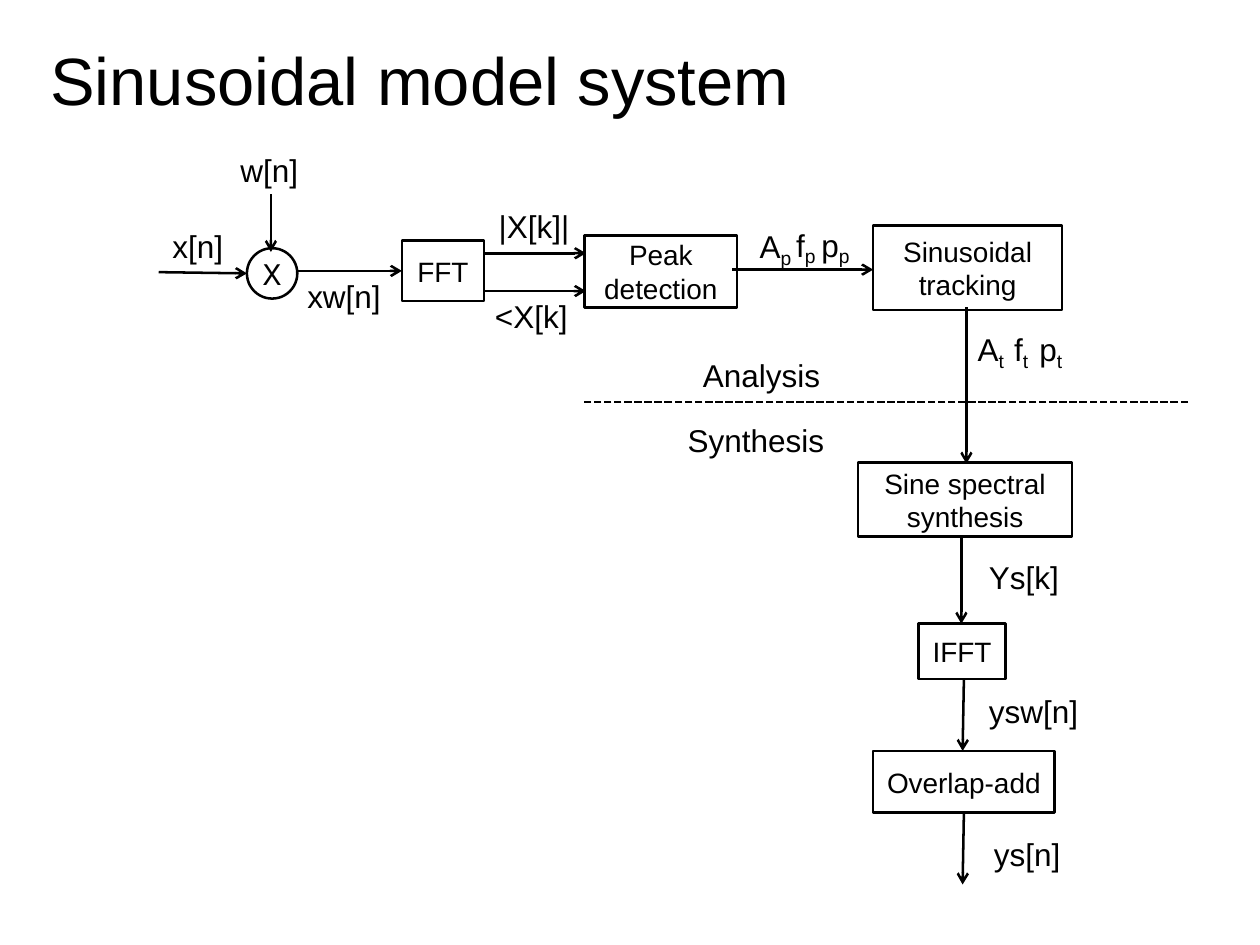
from lxml import etree
from pptx import Presentation
from pptx.dml.color import RGBColor
from pptx.enum.dml import MSO_LINE
from pptx.enum.shapes import MSO_CONNECTOR, MSO_SHAPE
from pptx.enum.text import MSO_ANCHOR, MSO_AUTO_SIZE, PP_ALIGN
from pptx.oxml.ns import qn
from pptx.util import Inches, Pt

RECT, OVAL = MSO_SHAPE.RECTANGLE, MSO_SHAPE.OVAL
STRAIGHT = MSO_CONNECTOR.STRAIGHT
DASH = MSO_LINE.SQUARE_DOT
MIDDLE, TOP = MSO_ANCHOR.MIDDLE, MSO_ANCHOR.TOP
CENTER, LEFT = PP_ALIGN.CENTER, PP_ALIGN.LEFT
NO_FIT = MSO_AUTO_SIZE.NONE
COLORS = {"ink": "000000", "paper": "FFFFFF"}


class Diagram:
    """Draws signal-flow elements on one slide in a shared style."""

    font = "Arial"
    line_width = 1.45

    def __init__(self, slide):
        self.slide = slide
        self.ink = RGBColor.from_string(COLORS["ink"])
        slide.background.fill.solid()
        slide.background.fill.fore_color.rgb = RGBColor.from_string(COLORS["paper"])

    def add_run(self, paragraph, text, size, font=None):
        run = paragraph.add_run()
        run.text = text
        run.font.size = Pt(size)
        run.font.name = font or self.font
        run.font.color.rgb = self.ink
        return run

    def set_frame(self, frame, anchor, wrap, inset_x=0.1, inset_y=0.05):
        frame.word_wrap = wrap
        frame.auto_size = NO_FIT
        frame.vertical_anchor = anchor
        frame.margin_left = frame.margin_right = Inches(inset_x)
        frame.margin_top = frame.margin_bottom = Inches(inset_y)

    def style_line(self, line):
        line.color.rgb = self.ink
        line.width = Pt(self.line_width)

    def title(self, text, left, top, width, height):
        heading = self.slide.shapes.title
        heading.left, heading.top = Inches(left), Inches(top)
        heading.width, heading.height = Inches(width), Inches(height)
        self.set_frame(heading.text_frame, MIDDLE, True, 0, 0)
        paragraph = heading.text_frame.paragraphs[0]
        paragraph.alignment = LEFT
        self.add_run(paragraph, text, 38.2)

    def block(self, lines, left, top, width, height):
        stage = self.node(RECT, left, top, width, height)
        self.set_frame(stage.text_frame, MIDDLE, True)
        self.fill_lines(stage.text_frame, lines, 16)

    def multiplier(self, sign, left, top, diameter):
        circle = self.node(OVAL, left, top, diameter, diameter)
        self.set_frame(circle.text_frame, MIDDLE, False, 0, 0)
        self.fill_lines(circle.text_frame, [sign], 18, "Courier New")

    def node(self, preset, left, top, width, height):
        outline = self.slide.shapes.add_shape(
            preset, Inches(left), Inches(top), Inches(width), Inches(height))
        outline.shadow.inherit = False
        outline.fill.background()
        self.style_line(outline.line)
        return outline

    def fill_lines(self, frame, lines, size, font=None):
        for index, text in enumerate(lines):
            paragraph = frame.add_paragraph() if index else frame.paragraphs[0]
            paragraph.alignment = CENTER
            self.add_run(paragraph, text, size, font)

    def signal(self, name, left, top, width, subscript=None):
        height = 0.41 if subscript else 0.38
        label = self.slide.shapes.add_textbox(
            Inches(left), Inches(top), Inches(width), Inches(height))
        self.set_frame(label.text_frame, TOP, True)
        label.text_frame.margin_right = 0
        paragraph = label.text_frame.paragraphs[0]
        paragraph.alignment = LEFT
        self.add_run(paragraph, name, 18)
        if subscript:
            index = self.add_run(paragraph, subscript, 18.9)
            index.font._element.set("baseline", "-20000")

    def link(self, x1, y1, x2, y2, arrow=True):
        wire = self.slide.shapes.add_connector(
            STRAIGHT, Inches(x1), Inches(y1), Inches(x2), Inches(y2))
        self.style_line(wire.line)
        if arrow:
            etree.SubElement(wire.line._get_or_add_ln(), qn("a:tailEnd"), type="arrow")
        else:
            wire.line.dash_style = DASH
        etree.SubElement(wire._element.spPr, qn("a:effectLst"))


prs = Presentation()
prs.slide_width, prs.slide_height = Inches(10), Inches(7.5)
diagram = Diagram(prs.slides.add_slide(prs.slide_layouts[5]))
diagram.title("Sinusoidal model system", 0.4, 0, 9, 1.25)

for stage in [
    (["FFT"], 3.19, 1.91, 0.65, 0.48),
    (["Peak detection"], 4.64, 1.87, 1.21, 0.57),
    (["Sinusoidal", "tracking"], 6.93, 1.79, 1.5, 0.67),
    (["Sine spectral", "synthesis"], 6.81, 3.67, 1.7, 0.59),
    (["IFFT"], 7.29, 4.95, 0.69, 0.44),
    (["Overlap-add"], 6.93, 5.96, 1.44, 0.49),
]:
    diagram.block(*stage)
diagram.multiplier("X", 1.96, 1.97, 0.4)

for ends in [
    (1.26, 2.16, 1.96, 2.17),
    (2.15, 1.54, 2.15, 2),
    (2.36, 2.15, 3.19, 2.15),
    (3.85, 2.01, 4.65, 2.01),
    (3.85, 2.31, 4.65, 2.31),
    (5.81, 2.14, 6.93, 2.14),
    (7.67, 2.44, 7.67, 3.68),
    (7.63, 4.25, 7.63, 4.95),
    (7.65, 5.39, 7.64, 5.96),
    (7.65, 6.45, 7.64, 7.02),
]:
    diagram.link(*ends)
diagram.link(9.43, 3.19, 4.63, 3.19, arrow=False)

for label in [
    ("x[n]", 1.27, 1.75, 0.6),
    ("w[n]", 1.81, 1.15, 0.66),
    ("xw[n]", 2.34, 2.15, 0.78),
    ("|X[k]|", 3.86, 1.59, 0.76),
    ("<X[k]", 3.83, 2.31, 0.77),
    ("A", 5.93, 1.74, 0.45, "p"),
    ("f", 6.22, 1.73, 0.35, "p"),
    ("p", 6.42, 1.73, 0.42, "p"),
    ("A", 7.66, 2.56, 0.41, "t"),
    ("f", 7.95, 2.56, 0.31, "t"),
    ("p", 8.15, 2.56, 0.38, "t"),
    ("Analysis", 5.48, 2.78, 1.13),
    ("Synthesis", 5.36, 3.29, 1.28),
    ("Ys[k]", 7.75, 4.38, 0.75),
    ("ysw[n]", 7.75, 5.44, 0.91),
    ("ys[n]", 7.79, 6.58, 0.73),
]:
    diagram.signal(*label)

prs.save("out.pptx")
